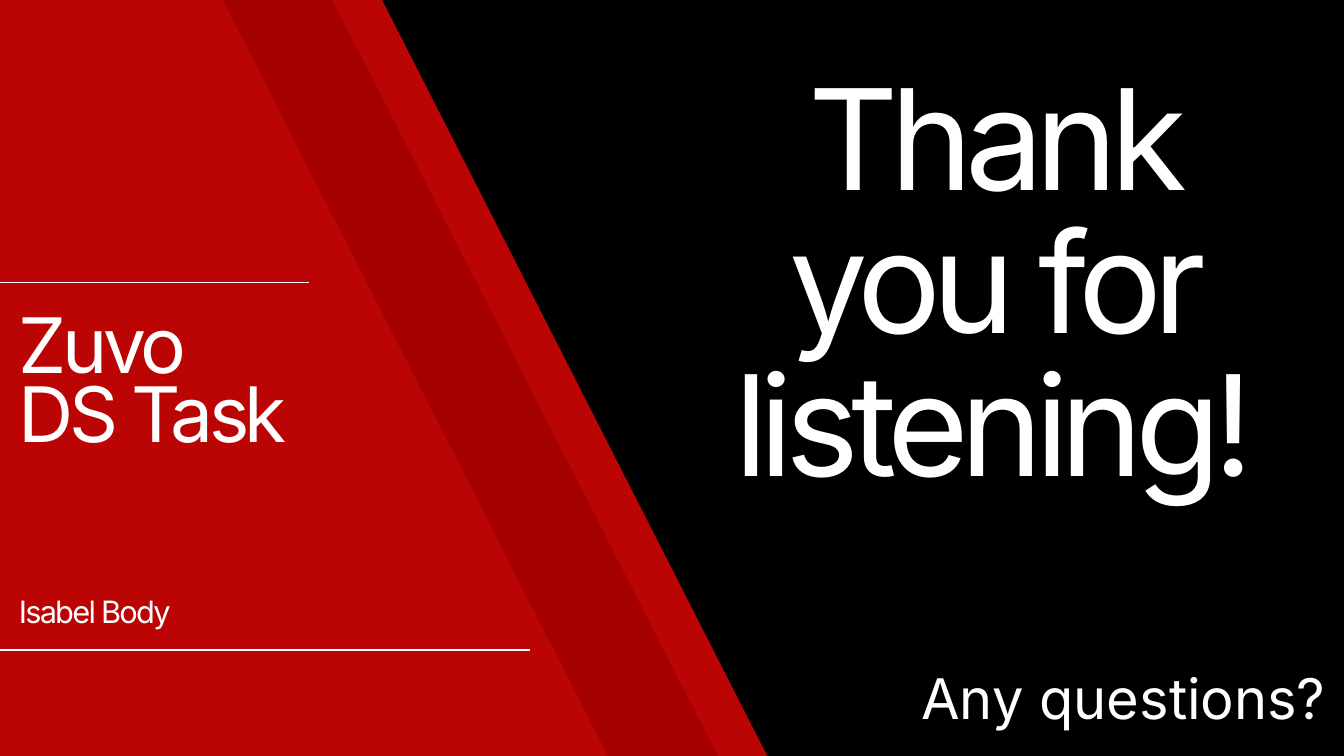
from dataclasses import dataclass

from lxml.etree import SubElement
from pptx import Presentation
from pptx.dml.color import RGBColor as Rgb
from pptx.enum.shapes import MSO_CONNECTOR as Conn, MSO_SHAPE as Kind
from pptx.enum.text import MSO_ANCHOR as Anchor, MSO_AUTO_SIZE as Fit, PP_ALIGN as Align
from pptx.oxml.ns import qn
from pptx.util import Inches, Pt

WHITE = "FFFFFF"
RED = "BB0505"
DARK = "A40000"


@dataclass
class Band:
    left: float
    top: float
    fill: str


@dataclass
class Rule:
    start: float
    end: float
    y: float


@dataclass
class Text:
    box: tuple[float, float, float, float]
    lines: list[str]
    size: float
    lead: float
    track: float = 0
    align: Align = Align.LEFT


BANDS = [Band(-6.23, 0.9, RED), Band(-6.96, 0.92, DARK), Band(-8.6, 0.9, RED)]
RULES = [Rule(-1.13, 4.6, 4.2), Rule(-1.97, 7.88, 9.67)]
TITLE = Text((10.57, 1.13, 8.44, 6.47), ["Thank you for listening!"],
             150, 153, -8.8, Align.CENTER)
TEXTS = [
    Text((0.28, 4.78, 14.13, 2.1), ["Zuvo", "DS Task"], 82, 73, -4.8),
    Text((0.28, 8.96, 14.13, 0.45), ["Isabel Body"], 33, 29.4, -1.9),
    Text((11.49, 9.71, 8.24, 1.12), ["Any questions?"], 60, 84, align=Align.RIGHT),
]


def paint(color, code: str) -> None:
    color.rgb = Rgb.from_string(code)


def add_band(slide, band: Band) -> None:
    shape = slide.shapes.add_shape(
        Kind.RECTANGLE, Inches(band.left), Inches(band.top), Inches(17.75), Inches(11.42))
    shape.rotation = 243
    shape.shadow.inherit = False
    shape.fill.solid()
    paint(shape.fill.fore_color, band.fill)
    shape.line.fill.background()


def add_rule(slide, rule: Rule) -> None:
    y = Inches(rule.y)
    line = slide.shapes.add_connector(
        Conn.STRAIGHT, Inches(rule.start), y, Inches(rule.end), y)
    line.line.width = Pt(1.5)
    paint(line.line.color, WHITE)
    SubElement(line._element.spPr, qn("a:effectLst"))


def set_text(shape, text: Text) -> None:
    shape.left, shape.top, shape.width, shape.height = map(Inches, text.box)
    frame = shape.text_frame
    frame.word_wrap = True
    frame.auto_size = Fit.SHAPE_TO_FIT_TEXT
    frame.vertical_anchor = Anchor.TOP
    frame.margin_left = frame.margin_right = 0
    frame.margin_top = frame.margin_bottom = 0
    for i, words in enumerate(text.lines):
        para = frame.add_paragraph() if i else frame.paragraphs[0]
        para.alignment = text.align
        para.line_spacing = Pt(text.lead)
        para.space_before = para.space_after = Pt(0)
        run = para.add_run()
        run.text = words
        run.font.name = "Inter"
        run.font.size = Pt(text.size)
        paint(run.font.color, WHITE)
        if text.track:
            run._r.get_or_add_rPr().set("spc", str(round(text.track * 100)))


def main() -> None:
    deck = Presentation()
    deck.slide_width, deck.slide_height = Inches(20), Inches(11.25)
    slide = deck.slides.add_slide(deck.slide_layouts[5])
    slide.background.fill.solid()
    paint(slide.background.fill.fore_color, "000000")
    for band in BANDS:
        add_band(slide, band)
    for rule in RULES:
        add_rule(slide, rule)
    for text in TEXTS:
        set_text(slide.shapes.add_textbox(*map(Inches, text.box)), text)
    title = slide.shapes.title
    set_text(title, TITLE)
    title._element.getparent().append(title._element)
    deck.save("out.pptx")


if __name__ == "__main__":
    main()
